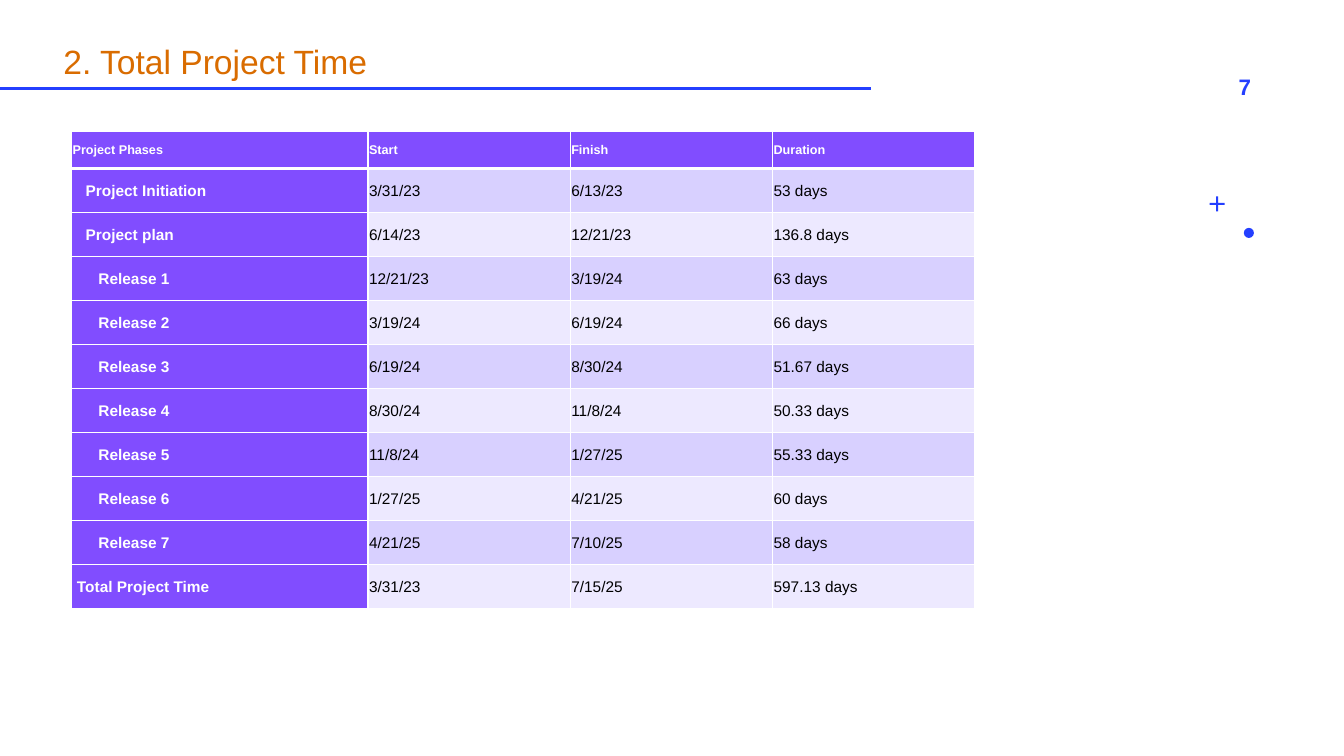
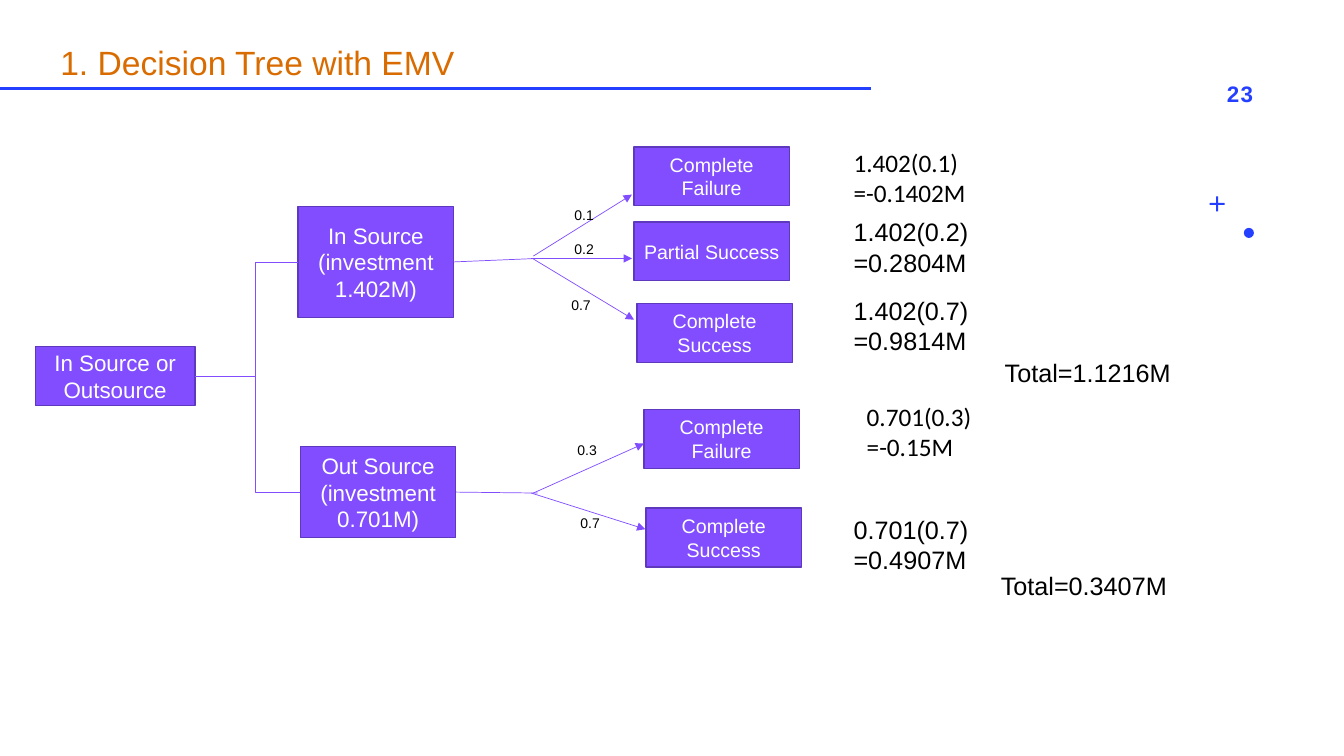
from dataclasses import dataclass

from lxml.etree import SubElement
from pptx import Presentation
from pptx.dml.color import RGBColor as RGB
from pptx.enum.shapes import MSO_CONNECTOR as LINK, MSO_SHAPE as SHAPE
from pptx.enum.text import MSO_ANCHOR as ANCHOR, MSO_AUTO_SIZE as FIT, PP_ALIGN as ALIGN
from pptx.oxml.ns import qn
from pptx.util import Pt


@dataclass(frozen=True)
class Theme:
    blue: RGB = RGB(0x24, 0x3F, 0xFF)
    orange: RGB = RGB(0xD9, 0x6C, 0x00)
    purple: RGB = RGB(0x81, 0x4D, 0xFF)
    edge: RGB = RGB(0x5F, 0x39, 0xBD)
    band_dark: RGB = RGB(0xD8, 0xD0, 0xFF)
    band_light: RGB = RGB(0xED, 0xE9, 0xFF)
    white: RGB = RGB(0xFF, 0xFF, 0xFF)
    black: RGB = RGB(0, 0, 0)
    font: str = "Arial"
    font_alt: str = "Calibri"
    title: int = 24
    result: int = 18
    branch: int = 16
    page: int = 16
    outcome: int = 14
    table_body: int = 11
    chance: int = 10
    table_head: int = 9


theme = Theme()


def write(frame, lines, size, color, align=ALIGN.LEFT, bold=False, font=theme.font, spacing=None):
    """Fill a wrapped text frame, one paragraph per line, and return its runs."""
    frame.word_wrap = True
    runs = []
    for number, line in enumerate(lines):
        paragraph = frame.add_paragraph() if number else frame.paragraphs[0]
        paragraph.alignment = align
        paragraph.line_spacing = spacing
        run = paragraph.add_run()
        run.text = line
        run.font.name, run.font.size, run.font.bold = font, Pt(size), bold
        run.font.color.rgb = color
        runs.append(run)
    return runs


def connect(slide, start, end, color=theme.purple, width=0.5, kind=LINK.STRAIGHT, arrow=False):
    link = slide.shapes.add_connector(kind, *(Pt(v) for v in (*start, *end)))
    link.line.color.rgb = color
    link.line.width = Pt(width)
    if arrow:
        SubElement(link.get_or_add_ln(), qn("a:tailEnd"), type="triangle")
    SubElement(link._element.spPr, qn("a:effectLst"))
    return link


prs = Presentation()
prs.slide_width, prs.slide_height = Pt(960), Pt(540)

# Shared frame: title, rule, page number and ornaments
slides = []
for title, title_at, page, page_at in [
    ("2. Total Project Time", (38.2, 18), "7", (684.7, 47.5)),
    ("1. Decision Tree with EMV", (36, 18.5), "23", (686.2, 52.6)),
]:
    slide = prs.slides.add_slide(prs.slide_layouts[6])
    slides.append(slide)
    connect(slide, (0, 63.4), (622, 63.4), theme.blue, 2)
    for ornament, left, top, size in [(SHAPE.OVAL, 888.5, 162.8, 7.2), (SHAPE.CROSS, 864, 140.2, 10.8)]:
        mark = slide.shapes.add_shape(ornament, Pt(left), Pt(top), Pt(size), Pt(size))
        mark.shadow.inherit = False
        mark.fill.solid()
        mark.fill.fore_color.rgb = theme.blue
        mark.line.fill.background()
        if ornament == SHAPE.CROSS:
            mark.adjustments[0] = 0.43
    heading = slide.shapes.add_textbox(Pt(title_at[0]), Pt(title_at[1]), Pt(487.5), Pt(44)).text_frame
    heading.vertical_anchor = ANCHOR.BOTTOM
    write(heading, [title], theme.title, theme.orange, spacing=0.9)
    folio = slide.shapes.add_textbox(Pt(page_at[0]), Pt(page_at[1]), Pt(216), Pt(28.8)).text_frame
    folio.vertical_anchor = ANCHOR.MIDDLE
    number_run = write(folio, [page], theme.page, theme.blue, ALIGN.RIGHT, bold=True)[0]
    number_run._r.get_or_add_rPr().set("spc", "100")

schedule_slide, tree_slide = slides

# Schedule: indent of the phase name, then the cells of the row
schedule = [
    (0, "Project Phases", "Start", "Finish", "Duration"),
    (9.2, "Project Initiation", "3/31/23", "6/13/23", "53 days"),
    (9.2, "Project plan", "6/14/23", "12/21/23", "136.8 days"),
    (18.4, "Release 1", "12/21/23", "3/19/24", "63 days"),
    (18.4, "Release 2", "3/19/24", "6/19/24", "66 days"),
    (18.4, "Release 3", "6/19/24", "8/30/24", "51.67 days"),
    (18.4, "Release 4", "8/30/24", "11/8/24", "50.33 days"),
    (18.4, "Release 5", "11/8/24", "1/27/25", "55.33 days"),
    (18.4, "Release 6", "1/27/25", "4/21/25", "60 days"),
    (18.4, "Release 7", "4/21/25", "7/10/25", "58 days"),
    (3.1, "Total Project Time", "3/31/23", "7/15/25", "597.13 days"),
]
column_widths = [211.7, 144.5, 144.5, 144.5]
head_height, row_height = 26.4, 31.43
table = schedule_slide.shapes.add_table(
    len(schedule), len(column_widths), Pt(51.2), Pt(94), Pt(sum(column_widths)),
    Pt(head_height + row_height * (len(schedule) - 1))).table
for column, width in zip(table.columns, column_widths):
    column.width = Pt(width)
for r, (indent, *values) in enumerate(schedule):
    table.rows[r].height = Pt(row_height if r else head_height)
    for c, value in enumerate(values):
        cell = table.cell(r, c)
        cell.margin_left = cell.margin_right = cell.margin_top = cell.margin_bottom = Pt(0.72)
        cell.vertical_anchor = ANCHOR.MIDDLE
        label = r == 0 or c == 0
        cell.fill.solid()
        cell.fill.fore_color.rgb = theme.purple if label else theme.band_dark if r % 2 else theme.band_light
        write(cell.text_frame, [value], theme.table_body if r else theme.table_head,
              theme.white if label else theme.black, bold=label, spacing=1.07)
        if c == 0:
            cell.text_frame.paragraphs[0]._p.get_or_add_pPr().set("marL", str(Pt(indent)))
        properties = cell._tc.get_or_add_tcPr()
        for position, side in enumerate(["lnL", "lnR", "lnT", "lnB"]):
            under_head = (r, side) in [(0, "lnB"), (1, "lnT")]
            border = SubElement(properties, qn(f"a:{side}"), w=str(Pt(3 if under_head else 1)))
            SubElement(SubElement(border, qn("a:solidFill")), qn("a:srgbClr"), val=str(theme.white))
            properties.insert(position, border)

# Decision tree: boxes
boxes = {}
for key, lines, left, top, width, height, size in [
    ("root", ["In Source or Outsource"], 25.2, 247.7, 114.1, 42, theme.branch),
    ("in", ["In Source", "(investment 1.402M)"], 213, 147.6, 111, 79, theme.branch),
    ("out", ["Out Source", "(investment 0.701M)"], 214.6, 319, 111, 65, theme.branch),
    ("in failure", ["Complete Failure"], 452.9, 105, 111, 42, theme.outcome),
    ("in partial", ["Partial Success"], 452.9, 158.6, 111, 42, theme.outcome),
    ("in success", ["Complete Success"], 455, 216.8, 111, 42, theme.outcome),
    ("out failure", ["Complete Failure"], 460, 292.5, 111, 42, theme.outcome),
    ("out success", ["Complete Success"], 461.5, 363, 111, 42, theme.outcome),
]:
    box = tree_slide.shapes.add_shape(SHAPE.RECTANGLE, Pt(left), Pt(top), Pt(width), Pt(height))
    box.shadow.inherit = False
    box.fill.solid()
    box.fill.fore_color.rgb = theme.purple
    box.line.color.rgb = theme.edge
    box.line.width = Pt(1)
    box.text_frame.vertical_anchor = ANCHOR.MIDDLE
    write(box.text_frame, lines, size, theme.white, ALIGN.CENTER)
    boxes[key] = box

# Root to each option, and each option to its fork and outcomes
root = boxes["root"]
root_right = root.left + root.width
trunk_x = Pt(182.4)
for key, fork, arrows in [
    ("in", (384, 184.6), [((381, 182.9), (451.4, 139)), ((379.5, 184.6), (451.4, 184.6)),
                          ((381, 185), (452.9, 228.4))]),
    ("out", (384, 352.2), [((381, 352.2), (460, 316.8)), ((379.5, 352.2), (461, 378))]),
]:
    option = boxes[key]
    elbow = connect(tree_slide, (0, 0), (1, 1), kind=LINK.ELBOW)
    elbow.begin_connect(root, 3)
    elbow.end_connect(option, 1)
    bend = round(100000 * (trunk_x - root_right) / (option.left - root_right))
    SubElement(elbow._element.spPr.find(".//" + qn("a:avLst")), qn("a:gd"), name="adj1", fmla=f"val {bend}")
    connect(tree_slide, (0, 0), fork).begin_connect(option, 3)
    for start, end in arrows:
        connect(tree_slide, start, end, arrow=True)

# Chances on the arrows, then expected values and totals
notes = [([chance], left, top, 30.2, 19.4, theme.chance, theme.font) for chance, left, top in [
    ("0.1", 403.2, 144), ("0.2", 403.2, 168.5), ("0.7", 401, 208.1),
    ("0.3", 405.4, 311.8), ("0.7", 407.5, 364.3)]]
notes += [
    (["1.402(0.1)", "=-0.1402M"], 602.6, 101.5, 131, 51, theme.result, theme.font_alt),
    (["1.402(0.2)", "=0.2804M"], 602.6, 151.2, 131, 51, theme.result, theme.font),
    (["1.402(0.7)", "=0.9814M"], 602.6, 207.4, 120, 51, theme.result, theme.font),
    (["0.701(0.3)", "=-0.15M"], 612, 283, 112, 51, theme.result, theme.font_alt),
    (["0.701(0.7)", "=0.4907M"], 602.6, 363.6, 145, 51, theme.result, theme.font),
    (["Total=1.1216M"], 710.6, 252, 137.5, 29, theme.result, theme.font),
    (["Total=0.3407M"], 707.8, 403.9, 145, 29, theme.result, theme.font),
]
for lines, left, top, width, height, size, font in notes:
    note = tree_slide.shapes.add_textbox(Pt(left), Pt(top), Pt(width), Pt(height)).text_frame
    write(note, lines, size, theme.black, font=font)
    note.auto_size = FIT.SHAPE_TO_FIT_TEXT

prs.save("out.pptx")
